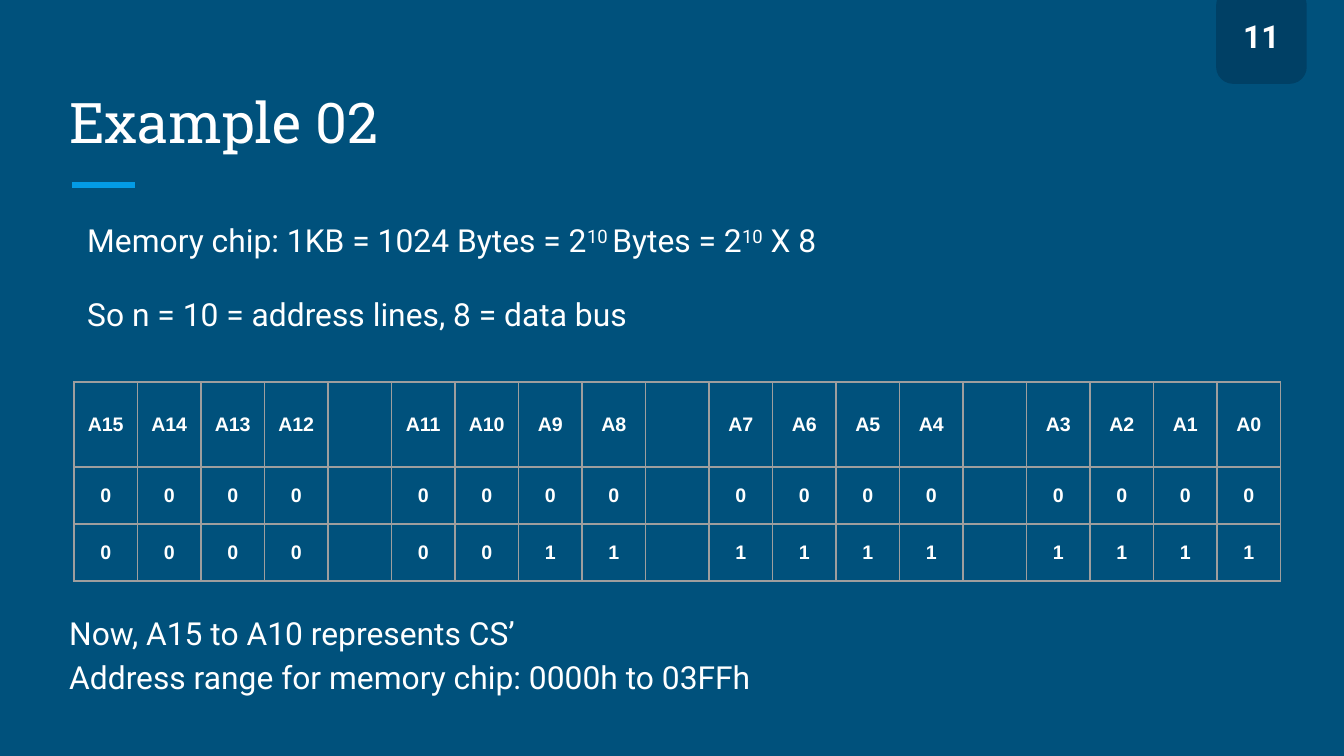
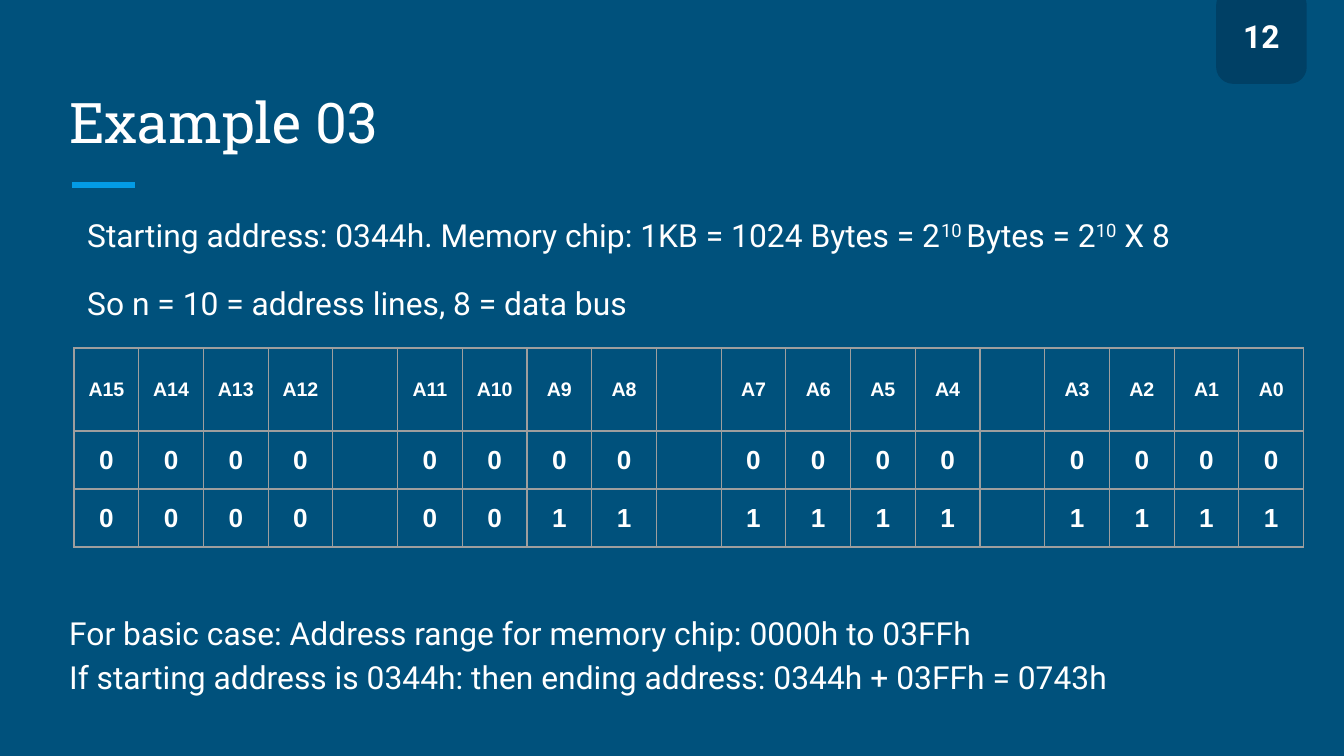
from lxml import etree
from pptx import Presentation, util as u
from pptx.dml.color import RGBColor
from pptx.enum import shapes, text
from pptx.oxml.ns import qn

# Colours and fonts
BACK = RGBColor(0x00, 0x51, 0x7C)
BADGE = RGBColor(0x00, 0x40, 0x65)
ACCENT = RGBColor(0x03, 0x9B, 0xE5)
WHITE = RGBColor(0xFF, 0xFF, 0xFF)
GRID = RGBColor(0x9E, 0x9E, 0x9E)
BODY, HEAD, CELL = "Roboto", "Roboto Slab", "Arial"

# Content: a line is a tuple of runs, every second run being superscript
SIZE = ("Memory chip: 1KB = 1024 Bytes = 2", "10 ", "Bytes = 2", "10", " X 8")
LINES = ("So n = 10 = address lines, 8 = data bus",)
FIRST, LAST = 0x0000, 0x03FF  # address range of the chip
SLIDES = [
    dict(num=11, title="Example 02",
         body=[SIZE, LINES], space=1.15,
         table=dict(top=382, wide=1207, rows=(85, 57, 57), pad=12, bits=10.5),
         notes=[("Now, A15 to A10 represents CS’",),
                ("Address range for memory chip: 0000h to 03FFh",)]),
    dict(num=12, title="Example 03",
         body=[("Starting address: 0344h. " + SIZE[0],) + SIZE[1:], LINES], space=1.0,
         table=dict(top=348, wide=1230, rows=(83, 58, 58), pad=13, bits=14),
         notes=[("For basic case: Address range for memory chip: 0000h to 03FFh",),
                ("If starting address is 0344h: then ending address: "
                 "0344h + 03FFh = 0743h",)]),
]


def px(n):
    return round(n * 914400 / 134.4)


def style(para, name, size, bold=False):
    font = para.font
    font.name, font.size, font.bold = name, u.Pt(size), bold
    font.color.rgb = WHITE


def add_text(slide, box, lines, name=BODY, size=17, bold=False, space=1.0, gap=0,
             align=text.PP_ALIGN.LEFT, anchor=text.MSO_ANCHOR.TOP):
    frame = slide.shapes.add_textbox(*map(px, box)).text_frame
    frame.word_wrap, frame.vertical_anchor = True, anchor
    frame.margin_left = frame.margin_right = u.Inches(0.1)
    frame.margin_top = frame.margin_bottom = u.Inches(0.1)
    for i, line in enumerate(lines):
        para = frame.add_paragraph() if i else frame.paragraphs[0]
        para.alignment, para.line_spacing = align, space
        if i and gap:
            para.space_before = u.Pt(gap)
        style(para, name, size, bold)
        for j, part in enumerate(line):
            run = para.add_run()
            run.text = part
            if j % 2:
                run.font._element.set("baseline", "30000")


def add_rule(slide):
    rule = slide.shapes.add_connector(shapes.MSO_CONNECTOR.STRAIGHT,
                                      px(72), px(185), px(135), px(185))
    rule.line.color.rgb, rule.line.width = ACCENT, u.Pt(3)
    etree.SubElement(rule._element.spPr, qn("a:effectLst"))


def add_badge(slide, num):
    tab = slide.shapes.add_shape(shapes.MSO_SHAPE.ROUNDED_RECTANGLE,
                                 px(1219), px(-9), px(85), px(90))
    tab.shadow.inherit = False
    tab.fill.solid()
    tab.fill.fore_color.rgb = tab.line.color.rgb = BADGE
    tab.line.width = u.Pt(3)
    add_text(slide, (1219, 3, 85, 66), [(str(num),)], bold=True,
             align=text.PP_ALIGN.CENTER)


def add_edges(cell):
    props = cell._tc.get_or_add_tcPr()
    for i, side in enumerate(("lnL", "lnR", "lnT", "lnB")):
        edge = etree.Element(qn("a:" + side), w=str(u.Pt(0.75)))
        fill = etree.SubElement(edge, qn("a:solidFill"))
        etree.SubElement(fill, qn("a:srgbClr"), val=str(GRID))
        props.insert(i, edge)


def groups(items):
    """Put an empty column between each four items."""
    out = []
    for i, item in enumerate(items):
        if i and i % 4 == 0:
            out.append("")
        out.append(item)
    return out


def add_bits(slide, top, wide, rows, pad, bits):
    data = [groups([f"A{n}" for n in range(15, -1, -1)])]
    data += [groups(f"{addr:016b}") for addr in (FIRST, LAST)]
    count = len(data[0])
    table = slide.shapes.add_table(len(data), count, px(74), px(top),
                                   px(wide), px(sum(rows))).table
    table.first_row = table.horz_banding = False
    for col in table.columns:
        col.width = px(wide / count)
    for r, row in enumerate(data):
        table.rows[r].height = px(rows[r])
        for c, word in enumerate(row):
            cell = table.cell(r, c)
            cell.fill.background()
            add_edges(cell)
            cell.vertical_anchor = text.MSO_ANCHOR.MIDDLE
            cell.margin_left = cell.margin_right = px(pad)
            cell.margin_top = cell.margin_bottom = px(pad)
            para = cell.text_frame.paragraphs[0]
            para.alignment = text.PP_ALIGN.CENTER
            style(para, CELL, bits if r else 10.5, True)
            if word:
                para.add_run().text = word
            else:  # keeps an empty cell from stretching its row
                etree.SubElement(para._p, qn("a:endParaRPr"), sz="1050")


def main():
    deck = Presentation()
    deck.slide_width, deck.slide_height = px(1344), px(756)
    for item in SLIDES:
        slide = deck.slides.add_slide(deck.slide_layouts[6])
        slide.background.fill.solid()
        slide.background.fill.fore_color.rgb = BACK
        add_rule(slide)
        add_text(slide, (56, 67, 837, 101), [(item["title"],)], HEAD, 30,
                 anchor=text.MSO_ANCHOR.BOTTOM)
        add_text(slide, (74, 202, 1184, 146), item["body"],
                 space=item["space"], gap=16)
        add_badge(slide, item["num"])
        add_bits(slide, **item["table"])
        add_text(slide, (56, 595, 1220, 108), item["notes"], space=1.15)
    deck.save("out.pptx")


if __name__ == "__main__":
    main()
